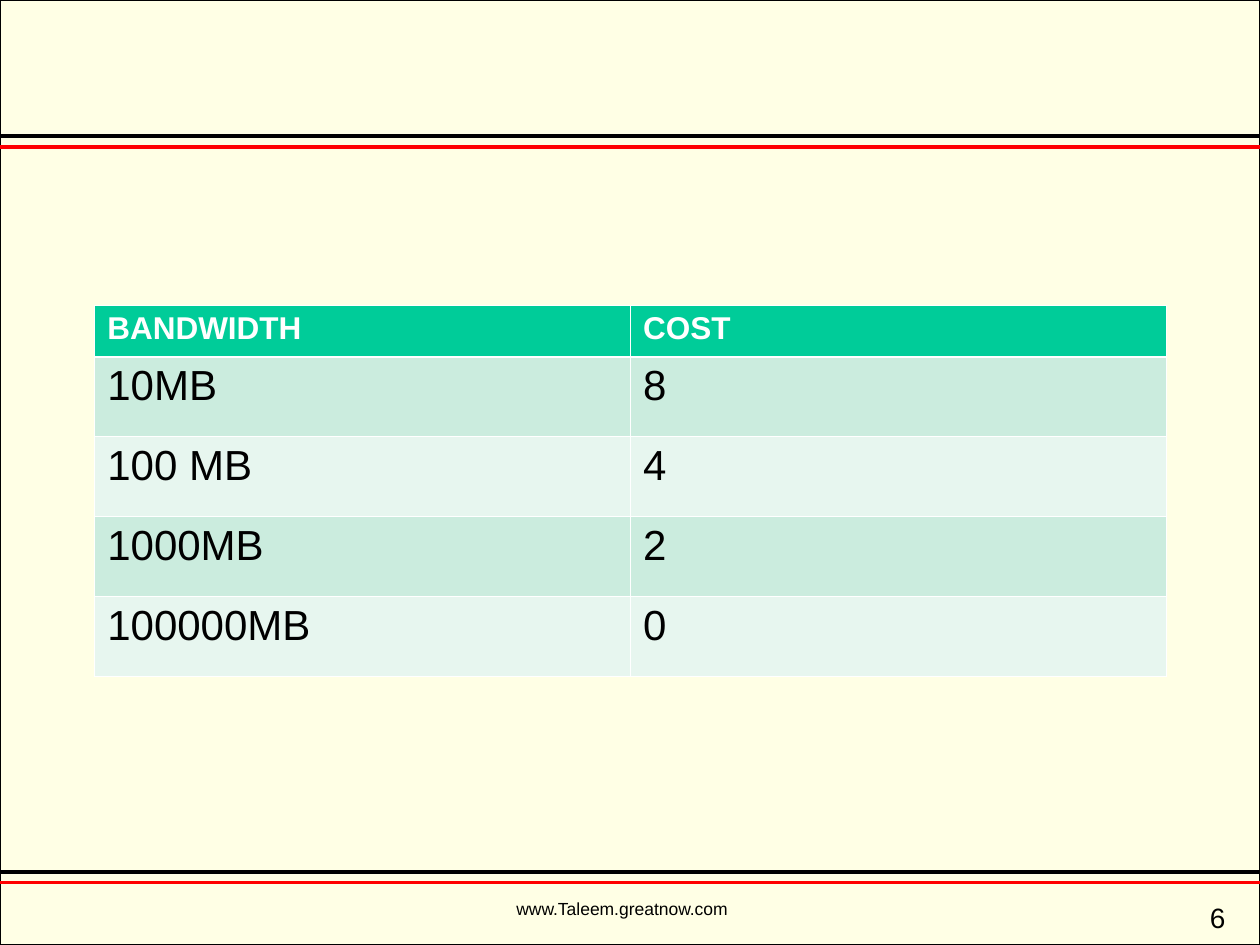
from lxml.etree import SubElement
from pptx import Presentation
from pptx.dml.color import RGBColor
from pptx.enum.shapes import MSO_CONNECTOR as Connector, MSO_SHAPE as Shape
from pptx.enum.text import MSO_ANCHOR as Anchor, PP_ALIGN as Align
from pptx.oxml.ns import qn
from pptx.util import Cm, Pt

FONT = "Arial"
BLACK, RED, WHITE = "000000", "FF0000", "FFFFFF"
HEADER_FILL, BAND_FILLS = "00CC99", ("CBECDE", "E7F6EF")
SLIDE_W, SLIDE_H = 25.4, 19.05

ROWS = [
    ("BANDWIDTH", "COST"),
    ("10MB", "8"),
    ("100 MB", "4"),
    ("1000MB", "2"),
    ("100000MB", "0"),
]
TABLE_LEFT, TABLE_TOP, COLUMN_W = 1.91, 6.15, 10.8
HEADER_H, ROW_H = 1.04, 1.61
THIN, THICK = 0.45, 1.47

RULES = [(2.74, BLACK), (2.97, RED), (17.57, BLACK), (17.79, RED)]

# text, left, top, width, height, size, alignment, anchor, wrap
FOOTERS = [
    ("6", 23.01, 18.03, 3.07, 0.94, 16, Align.CENTER, Anchor.MIDDLE, False),
    ("www.Taleem.greatnow.com", 10.16, 17.98, 11, 0.69, 10, Align.LEFT, Anchor.TOP, True),
]


def rgb(hex_color):
    return RGBColor.from_string(hex_color)


def paint(fill, hex_color):
    fill.solid()
    fill.fore_color.rgb = rgb(hex_color)


def style(paragraph, size, color, bold=False):
    font = paragraph.font
    font.name, font.size, font.bold = FONT, Pt(size), bold
    font.color.rgb = rgb(color)


def add_border(cell, side, width):
    border = SubElement(cell._tc.get_or_add_tcPr(), qn(f"a:ln{side}"), w=str(Pt(width)))
    SubElement(SubElement(border, qn("a:solidFill")), qn("a:srgbClr"), val=WHITE)


def add_backdrop(slide):
    backdrop = slide.shapes.add_shape(Shape.RECTANGLE, 0, 0, Cm(SLIDE_W), Cm(SLIDE_H))
    backdrop.shadow.inherit = False
    paint(backdrop.fill, "FFFFCC")
    tint = backdrop._element.spPr.find(qn("a:solidFill"))[0]
    SubElement(tint, qn("a:alpha"), val="50000")
    backdrop.line.color.rgb = rgb(BLACK)
    backdrop.line.width = Pt(0.75)


def add_rule(slide, y, color):
    rule = slide.shapes.add_connector(Connector.STRAIGHT, Cm(SLIDE_W), Cm(y), 0, Cm(y))
    rule.line.color.rgb = rgb(color)
    rule.line.width = Pt(2.25)
    SubElement(rule._element.spPr, qn("a:effectLst"))


def add_footer(slide, text, left, top, width, height, size, align, anchor, wrap):
    frame = slide.shapes.add_textbox(Cm(left), Cm(top), Cm(width), Cm(height)).text_frame
    frame.word_wrap = wrap
    frame.vertical_anchor = anchor
    frame.text = text
    frame.paragraphs[0].alignment = align
    style(frame.paragraphs[0], size, BLACK)


def add_cost_table(slide):
    height = HEADER_H + ROW_H * (len(ROWS) - 1)
    table = slide.shapes.add_table(
        len(ROWS), len(ROWS[0]), Cm(TABLE_LEFT), Cm(TABLE_TOP),
        Cm(COLUMN_W * len(ROWS[0])), Cm(height)).table
    for column in table.columns:
        column.width = Cm(COLUMN_W)
    for r, values in enumerate(ROWS):
        header = r == 0
        table.rows[r].height = Cm(HEADER_H if header else ROW_H)
        widths = {"L": THIN, "R": THIN,
                  "T": THICK if r == 1 else THIN,
                  "B": THICK if header else THIN}
        for c, value in enumerate(values):
            cell = table.cell(r, c)
            cell.text = value
            style(cell.text_frame.paragraphs[0], 18 if header else 24,
                  WHITE if header else BLACK, header)
            for side, width in widths.items():
                add_border(cell, side, width)
            paint(cell.fill, HEADER_FILL if header else BAND_FILLS[(r - 1) % 2])


def main():
    deck = Presentation()
    deck.slide_width, deck.slide_height = Cm(SLIDE_W), Cm(SLIDE_H)
    slide = deck.slides.add_slide(deck.slide_layouts[6])
    add_backdrop(slide)
    for y, color in RULES:
        add_rule(slide, y, color)
    for footer in FOOTERS:
        add_footer(slide, *footer)
    add_cost_table(slide)
    deck.save("out.pptx")


if __name__ == "__main__":
    main()
